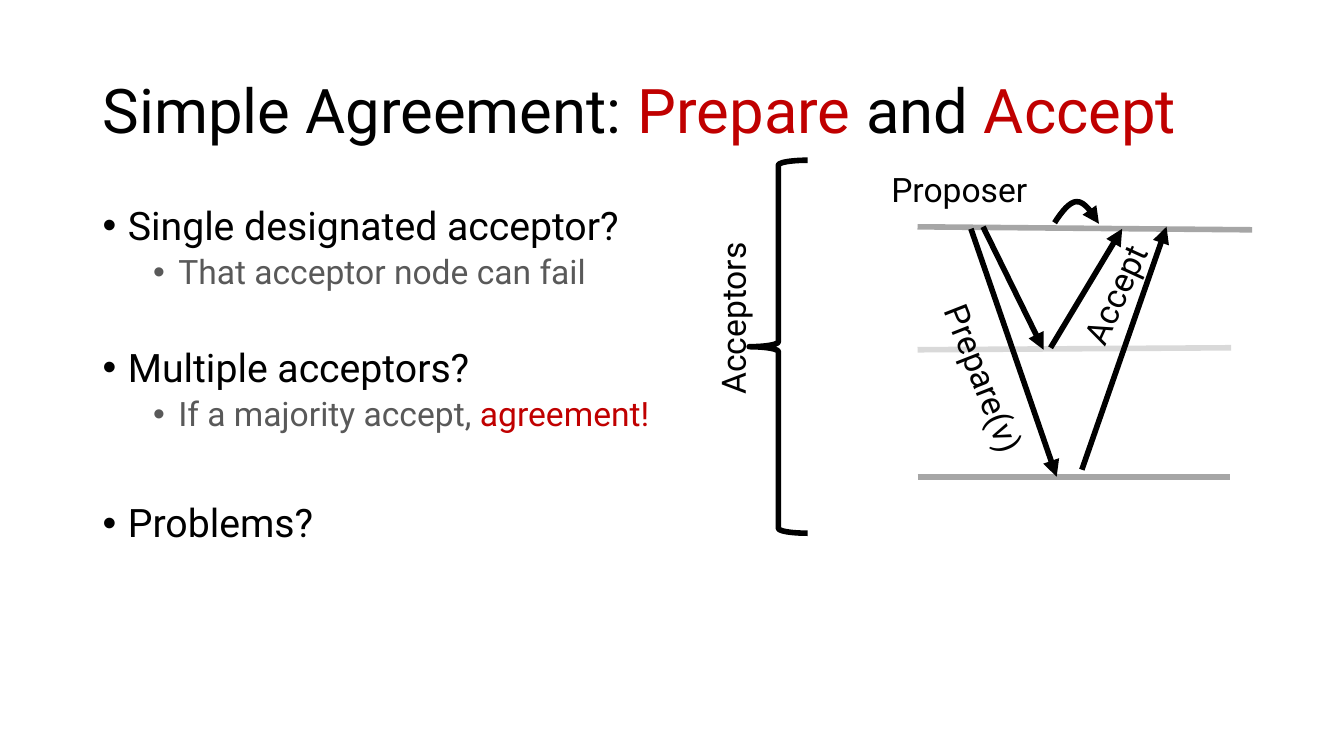
from lxml import etree
from pptx import Presentation
from pptx.dml.color import RGBColor
from pptx.enum.shapes import MSO_CONNECTOR, MSO_SHAPE
from pptx.enum.text import MSO_ANCHOR, PP_ALIGN
from pptx.oxml.ns import qn
from pptx.util import Pt

STRAIGHT = MSO_CONNECTOR.STRAIGHT
LEFT_BRACE = MSO_SHAPE.LEFT_BRACE
MIDDLE, TOP = MSO_ANCHOR.MIDDLE, MSO_ANCHOR.TOP
CENTER = PP_ALIGN.CENTER

PX = 9144
FONT = "Roboto"
LINE_WIDTH = Pt(4)
COLORS = {
    "black": "000000",
    "red": "C00000",
    "gray": "595959",
    "timeline": "A6A6A6",
    "faint": "D9D9D9",
}


def px(*lengths):
    return [round(length * PX) for length in lengths]


def color(name):
    return RGBColor.from_string(COLORS[name])


def add_text_box(slide, box, anchor=TOP):
    shape = slide.shapes.add_textbox(*px(*box))
    frame = shape.text_frame
    frame.word_wrap = True
    frame.vertical_anchor = anchor
    return shape


def add_runs(paragraph, runs, size):
    for text, color_name in runs:
        run = paragraph.add_run()
        run.text = text
        run.font.name = FONT
        run.font.size = Pt(size)
        run.font.color.rgb = color(color_name)


def style_line(shape, color_name, arrow=False):
    shape.line.color.rgb = color(color_name)
    shape.line.width = LINE_WIDTH
    if arrow:
        line = shape.line._get_or_add_ln()
        etree.SubElement(line, qn("a:tailEnd"), type="triangle")


def add_line(slide, start, end, color_name, arrow=False):
    connector = slide.shapes.add_connector(STRAIGHT, *px(*start, *end))
    style_line(connector, color_name, arrow)
    etree.SubElement(connector._element.spPr, qn("a:effectLst"))


def bezier(points, steps=8):
    p0, p1, p2, p3 = points
    for step in range(1, steps + 1):
        t = step / steps
        u = 1 - t
        yield tuple(
            u**3 * a + 3 * u * u * t * b + 3 * u * t * t * c + t**3 * d
            for a, b, c, d in zip(p0, p1, p2, p3)
        )


def add_title(slide, box):
    paragraph = add_text_box(slide, box, MIDDLE).text_frame.paragraphs[0]
    paragraph.line_spacing = 0.9
    runs = [("Simple Agreement: ", "black"), ("Prepare", "red"),
            (" and ", "black"), ("Accept", "red")]
    add_runs(paragraph, runs, 44)


def add_bullets(slide, box):
    frame = add_text_box(slide, box).text_frame
    items = [
        (0, 0, [("Single designated acceptor?", "black")]),
        (1, 5, [("That acceptor node can fail", "gray")]),
        (0, 40, [("Multiple acceptors?", "black")]),
        (1, 5, [("If a majority accept, ", "gray"), ("agreement!", "red")]),
        (0, 50, [("Problems?", "black")]),
    ]
    for index, (level, space_before, runs) in enumerate(items):
        paragraph = frame.add_paragraph() if index else frame.paragraphs[0]
        paragraph.level = level
        paragraph.line_spacing = 0.9
        paragraph.space_before = Pt(space_before)
        properties = paragraph._p.get_or_add_pPr()
        indent, = px(25)
        properties.set("marL", str(indent * (1 + 2 * level)))
        properties.set("indent", str(-indent))
        etree.SubElement(properties, qn("a:buFont"), typeface="Arial")
        etree.SubElement(properties, qn("a:buChar"), char="•")
        add_runs(paragraph, runs, 24 if level else 28)


def add_message_diagram(slide, box):
    left, top, width, height = box

    def at(x, y):
        return left + x, top + y

    timelines = [
        ((289, 66), (width, 69), "timeline"),
        ((289, 188), (600, 186), "faint"),
        ((289, 314), (599, 314), "timeline"),
    ]
    for start, end, color_name in timelines:
        add_line(slide, at(*start), at(*end), color_name)

    messages = [
        ((354, 66), (414, 188)),
        ((342, 68), (427, 314)),
        ((421, 186), (492, 68)),
        ((452, 307), (536, 66)),
    ]
    for start, end in messages:
        add_line(slide, at(*start), at(*end), "black", arrow=True)

    labels = [
        ("Accept", 414, 108, 141, 294.6),
        ("Prepare(v)", 260, 191, 190, 68.6),
        ("Proposer", 225, 4, 211, 0),
        ("Acceptors", 0, 132, 211, 270),
    ]
    for text, x, y, label_width, rotation in labels:
        label = add_text_box(slide, (*at(x, y), label_width, 50))
        label.rotation = rotation
        paragraph = label.text_frame.paragraphs[0]
        paragraph.alignment = CENTER
        add_runs(paragraph, [(text, "black")], 24)

    rise = [at(425, 62), at(432, 51), at(440, 41), at(447, 41)]
    fall = [at(447, 41), at(455, 41), at(462, 52), at(469, 63)]
    builder = slide.shapes.build_freeform(*px(*rise[0]))
    points = [px(*point) for half in (rise, fall) for point in bezier(half)]
    builder.add_line_segments(points, close=False)
    self_message = builder.convert_to_shape()
    brace = slide.shapes.add_shape(LEFT_BRACE, *px(*at(122, 0), 58, height))
    for shape, arrow in ((self_message, True), (brace, False)):
        shape.shadow.inherit = False
        shape.fill.background()
        style_line(shape, "black", arrow)


def main():
    presentation = Presentation()
    presentation.slide_width, presentation.slide_height = px(1333, 750)
    slide = presentation.slides.add_slide(presentation.slide_layouts[6])
    add_title(slide, (92, 40, 1150, 145))
    add_bullets(slide, (92, 200, 1150, 524))
    add_message_diagram(slide, (621, 159, 621, 370))
    presentation.save("out.pptx")


if __name__ == "__main__":
    main()
